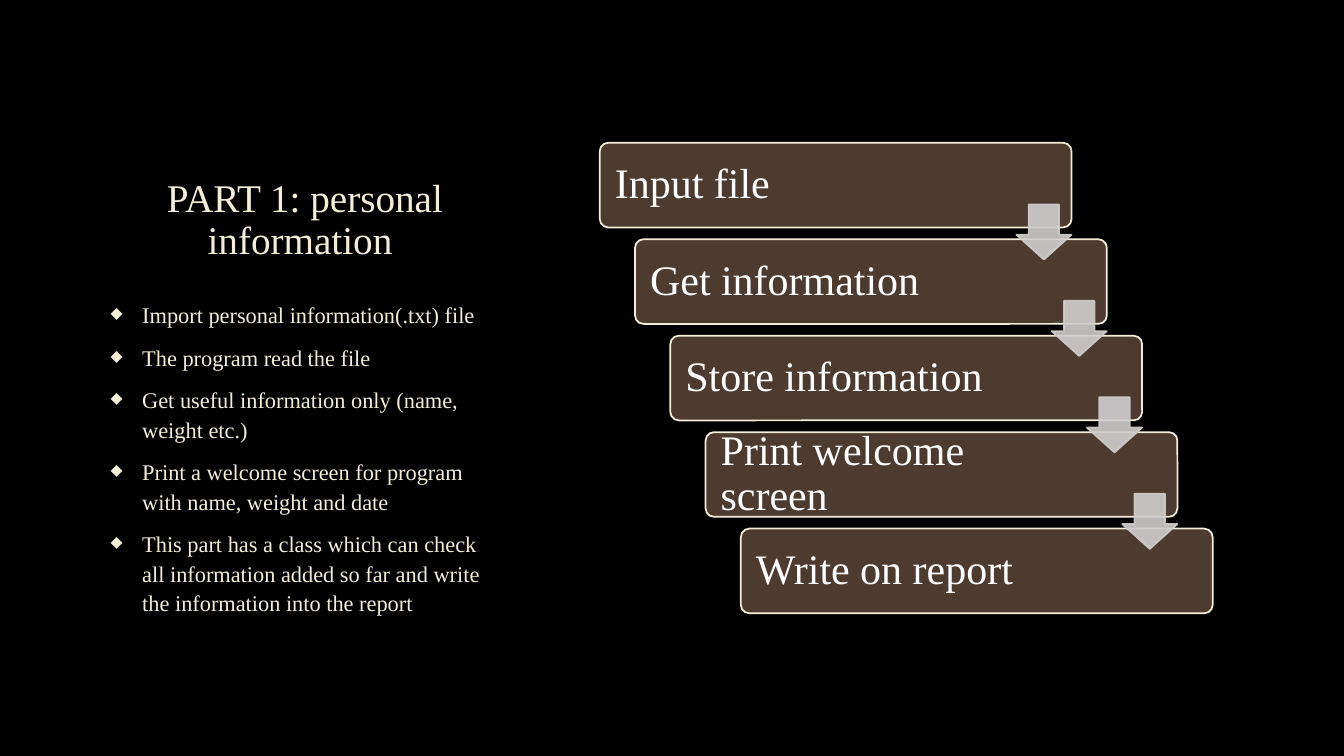
from dataclasses import dataclass

from lxml import etree
from pptx import Presentation
from pptx.dml.color import RGBColor
from pptx.enum import shapes, text
from pptx.oxml import ns
from pptx.util import Pt

FONT = "Times New Roman"
CREAM, BROWN, GREY, WHITE = "F4EDD8", "4E3B30", "D0CECD", "FFFFFF"
WIDE, HIGH = 337, 60.5
ARROW = 39.4


@dataclass
class Step:
    label: str
    left: float
    top: float


def color(code: str) -> RGBColor:
    return RGBColor.from_string(code)


def add(parent, tag: str, **attrs: str):
    return etree.SubElement(parent, ns.qn(tag), **attrs)


def style(para, size: float, code: str, spacing: float) -> None:
    para.font.name = FONT
    para.font.size = Pt(size)
    para.font.color.rgb = color(code)
    para.line_spacing = spacing


def bullet(para) -> None:
    props = para._p.get_or_add_pPr()
    props.set("marL", str(Pt(22.5)))
    props.set("indent", str(Pt(-22.5)))
    add(add(props, "a:buClr"), "a:srgbClr", val=CREAM)
    add(props, "a:buSzPct", val="70000")
    add(props, "a:buChar", char="◆")


def draw(kind, left: float, top: float, wide: float, high: float,
         fill: str, line: str):
    shape = slide.shapes.add_shape(kind, Pt(left), Pt(top), Pt(wide), Pt(high))
    shape.shadow.inherit = False
    shape.fill.solid()
    shape.fill.fore_color.rgb = color(fill)
    shape.line.color.rgb = color(line)
    shape.line.width = Pt(1.25)
    return shape


def draw_step(step: Step) -> None:
    box = draw(shapes.MSO_SHAPE.ROUNDED_RECTANGLE, step.left, step.top,
               WIDE, HIGH, BROWN, CREAM)
    box.adjustments[0] = 0.1
    frame = box.text_frame
    frame.word_wrap = True
    frame.vertical_anchor = text.MSO_ANCHOR.MIDDLE
    frame.margin_left, frame.margin_right = Pt(9), Pt(74)
    frame.margin_top = frame.margin_bottom = 0
    para = frame.paragraphs[0]
    para.text = step.label
    para.alignment = text.PP_ALIGN.LEFT
    style(para, 30, WHITE, 0.9)


def draw_arrow(step: Step) -> None:
    arrow = draw(shapes.MSO_SHAPE.DOWN_ARROW, step.left + WIDE - ARROW,
                 step.top + 44, ARROW, ARROW, GREY, GREY)
    arrow.adjustments[0] = 0.55
    arrow.adjustments[1] = 0.45
    for tint in arrow._element.spPr.iter(ns.qn("a:srgbClr")):
        add(tint, "a:alpha", val="90000")


deck = Presentation()
deck.slide_width, deck.slide_height = Pt(960), Pt(540)
slide = deck.slides.add_slide(deck.slide_layouts[5])
slide.background.fill.solid()
slide.background.fill.fore_color.rgb = color("000000")

# Title
title = slide.shapes.title
title.left, title.top, title.width, title.height = Pt(72), Pt(48), Pt(291.6), Pt(143.5)
title.text_frame.text = "PART 1: personal information "
title.text_frame.word_wrap = True
title.text_frame.auto_size = text.MSO_AUTO_SIZE.NONE
title.text_frame.vertical_anchor = text.MSO_ANCHOR.BOTTOM
head = title.text_frame.paragraphs[0]
head.alignment = text.PP_ALIGN.CENTER
style(head, 28, CREAM, 0.9)

# Bulleted notes
NOTES = [
    "Import personal information(.txt) file",
    "The program read the file",
    "Get useful information only (name, weight etc.)",
    "Print a welcome screen for program with name, weight and date",
    "This part has a class which can check all information added so far "
    "and write the information into the report",
]
body = slide.shapes.add_textbox(Pt(72), Pt(210), Pt(291.6), Pt(237.6)).text_frame
body.word_wrap = True
body.text = "\n".join(NOTES)
for para in body.paragraphs:
    style(para, 16, CREAM, 1.1)
    para.space_before, para.space_after = Pt(3.2), Pt(6)
    bullet(para)

# Staircase of steps, with arrows on top
LABELS = ["Input file", "Get information", "Store information",
          "Print welcome screen", "Write on report"]
steps = [Step(label, 428.4 + 25.2 * i, 102 + 68.9 * i)
         for i, label in enumerate(LABELS)]
for step in steps:
    draw_step(step)
for step in steps[:-1]:
    draw_arrow(step)

deck.save("out.pptx")
